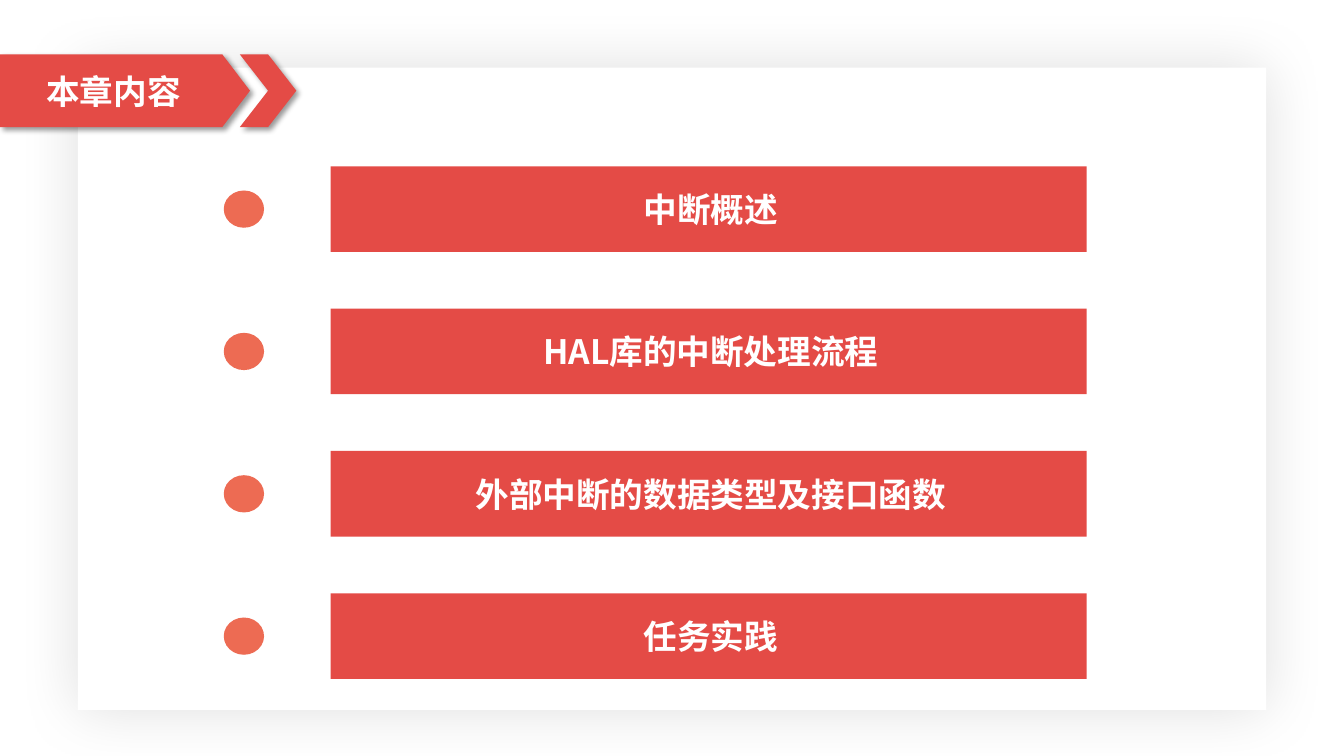
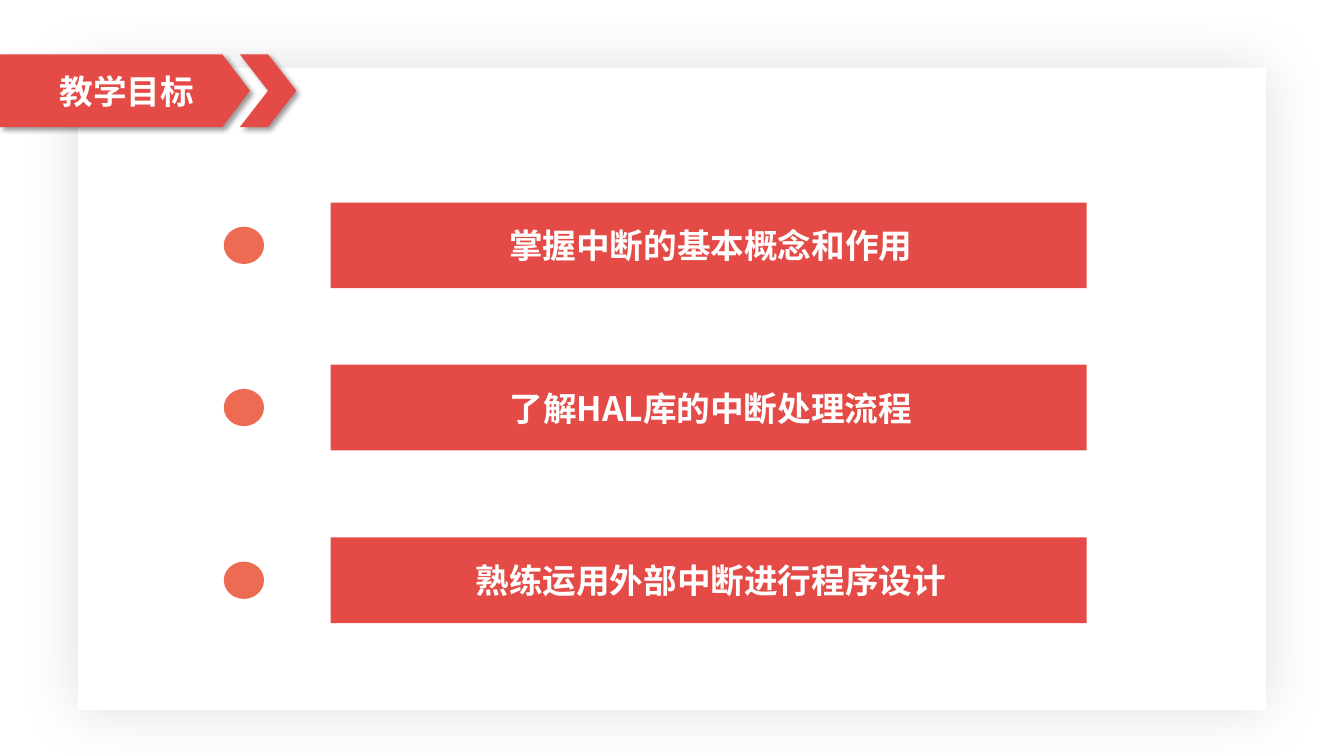
from dataclasses import dataclass

from lxml.etree import SubElement
from pptx import Presentation
from pptx.dml.color import RGBColor
from pptx.enum.shapes import MSO_SHAPE as Shape
from pptx.enum.text import MSO_ANCHOR as Anchor, PP_ALIGN as Align
from pptx.oxml.ns import qn
from pptx.util import Emu, Inches, Pt


@dataclass(frozen=True)
class Theme:
    red: str = "E44B46"
    coral: str = "ED6B53"
    white: str = "FFFFFF"
    black: str = "000000"
    font: str = "Noto Sans CJK SC"
    size: int = 24
    # Shadows: opacity %, blur pt, distance pt, angle
    glow: tuple = (12, 44, 0, 0)
    drop: tuple = (40, 4, 3, 45)


T = Theme()


@dataclass(frozen=True)
class Box:
    x: float
    y: float
    w: float
    h: float

    def inner(self, x, y, w, h):
        """Inner box, given in percent of this one."""
        return Box(self.x + self.w * x / 100, self.y + self.h * y / 100,
                   self.w * w / 100, self.h * h / 100)

    def emu(self):
        return [Emu(int(v)) for v in (self.x, self.y, self.w, self.h)]


PAGE = Box(0, 0, Inches(13.33), Inches(7.5))


def add_shadow(sp, opacity, blur, dist, angle):
    effects = sp._element.spPr.find(qn("a:effectLst"))
    shadow = SubElement(effects, qn("a:outerShdw"), blurRad=str(Pt(blur)),
                        dist=str(Pt(dist)), dir=str(angle * 60000),
                        algn="tl" if dist else "ctr", rotWithShape="0")
    color = SubElement(shadow, qn("a:srgbClr"), val=T.black)
    SubElement(color, qn("a:alpha"), val=str(opacity * 1000))


def add_block(s, kind, box, fill, shadow=None, adj=None):
    sp = s.shapes.add_shape(kind, *box.emu())
    sp.fill.solid()
    sp.fill.fore_color.rgb = RGBColor.from_string(fill)
    sp.line.fill.background()
    sp.shadow.inherit = False
    if shadow:
        add_shadow(sp, *shadow)
    if adj is not None:
        sp.adjustments[0] = adj
    return sp


def write(sp, text, align=Align.CENTER, indent=0, color=T.white, size=T.size):
    tf = sp.text_frame
    tf.word_wrap = True
    tf.vertical_anchor = Anchor.MIDDLE
    tf.margin_left = Emu(int(indent))
    tf.margin_right = tf.margin_top = tf.margin_bottom = 0
    p = tf.paragraphs[0]
    p.alignment = align
    r = p.add_run()
    r.text = text
    r.font.name, r.font.size, r.font.bold = T.font, Pt(size), True
    r.font.color.rgb = RGBColor.from_string(color)
    SubElement(r._r.get_or_add_rPr(), qn("a:ea"), typeface=T.font)


# Title ribbon: arrow plate with a chevron after it
def add_ribbon(s, box, title, indent):
    plate = add_block(s, Shape.PENTAGON, box.inner(0, 0, 84.35, 100), T.red, T.drop, 0.38)
    write(plate, title, Align.LEFT, box.w * indent / 100)
    add_block(s, Shape.CHEVRON, box.inner(80.95, 0, 19.05, 100), T.red, T.drop)


# List row: dot on the left, captioned bar on the right
def add_row(s, box, text):
    add_block(s, Shape.OVAL, box.inner(0, 28.2, 4.67, 43.5), T.coral)
    bar = add_block(s, Shape.RECTANGLE, box.inner(12.38, 0, 87.62, 100), T.red)
    write(bar, text, indent=box.w / 200)


def add_list_slide(prs, title, indent, items, tops):
    s = prs.slides.add_slide(prs.slide_layouts[6])
    add_block(s, Shape.RECTANGLE, PAGE.inner(5.8, 8.95, 88.4, 84.95), T.white, T.glow)
    add_ribbon(s, PAGE.inner(0, 7.2, 22.05, 9.6), title, indent)
    for text, top in zip(items, tops):
        add_row(s, PAGE.inner(16.65, top, 64.2, 11.33), text)


def main():
    prs = Presentation()
    prs.slide_width, prs.slide_height = PAGE.w, PAGE.h

    # Chapter contents
    topics = ["中断概述", "HAL库的中断处理流程", "外部中断的数据类型及接口函数", "任务实践"]
    add_list_slide(prs, "本章内容", 15.65, topics,
                   [22 + 18.83 * i for i in range(len(topics))])

    # Teaching goals
    goals = ["掌握中断的基本概念和作用", "了解HAL库的中断处理流程", "熟练运用外部中断进行程序设计"]
    add_list_slide(prs, "教学目标", 20.1, goals, [26.8, 48.25, 71.1])

    prs.save("out.pptx")


if __name__ == "__main__":
    main()
